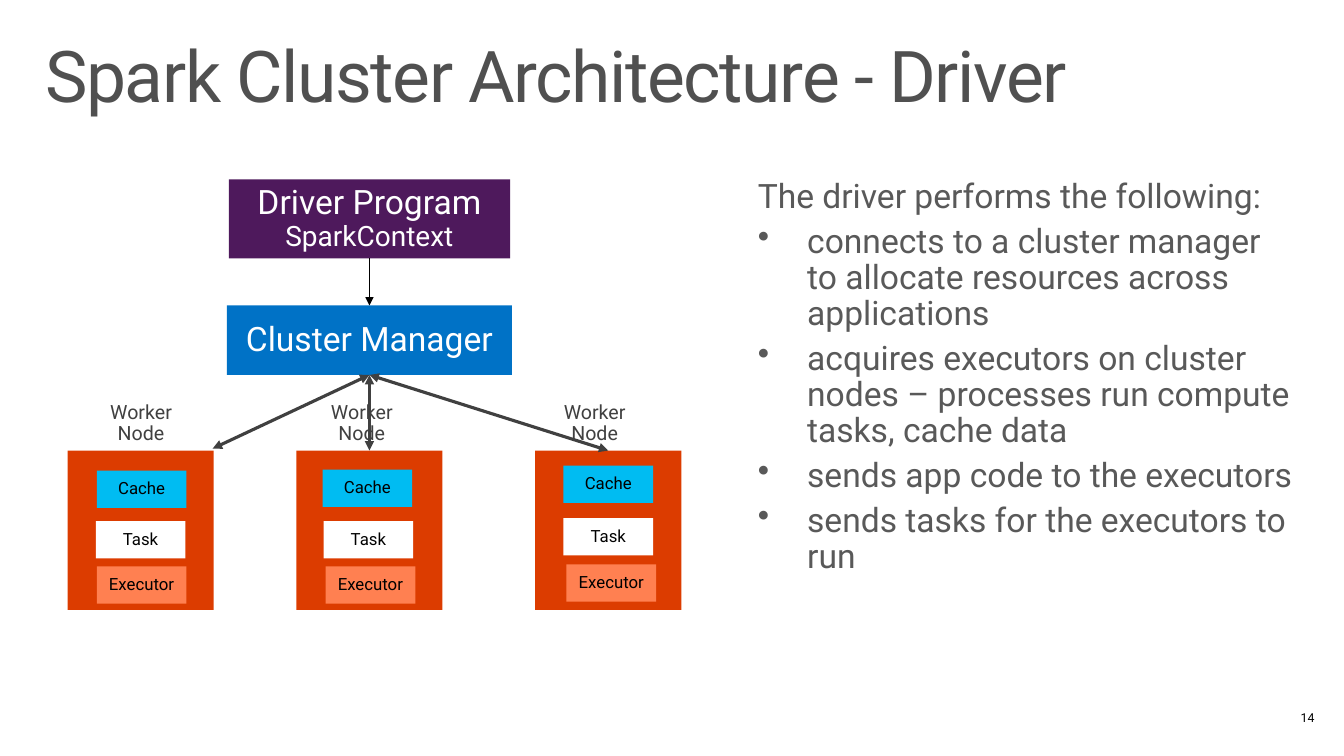
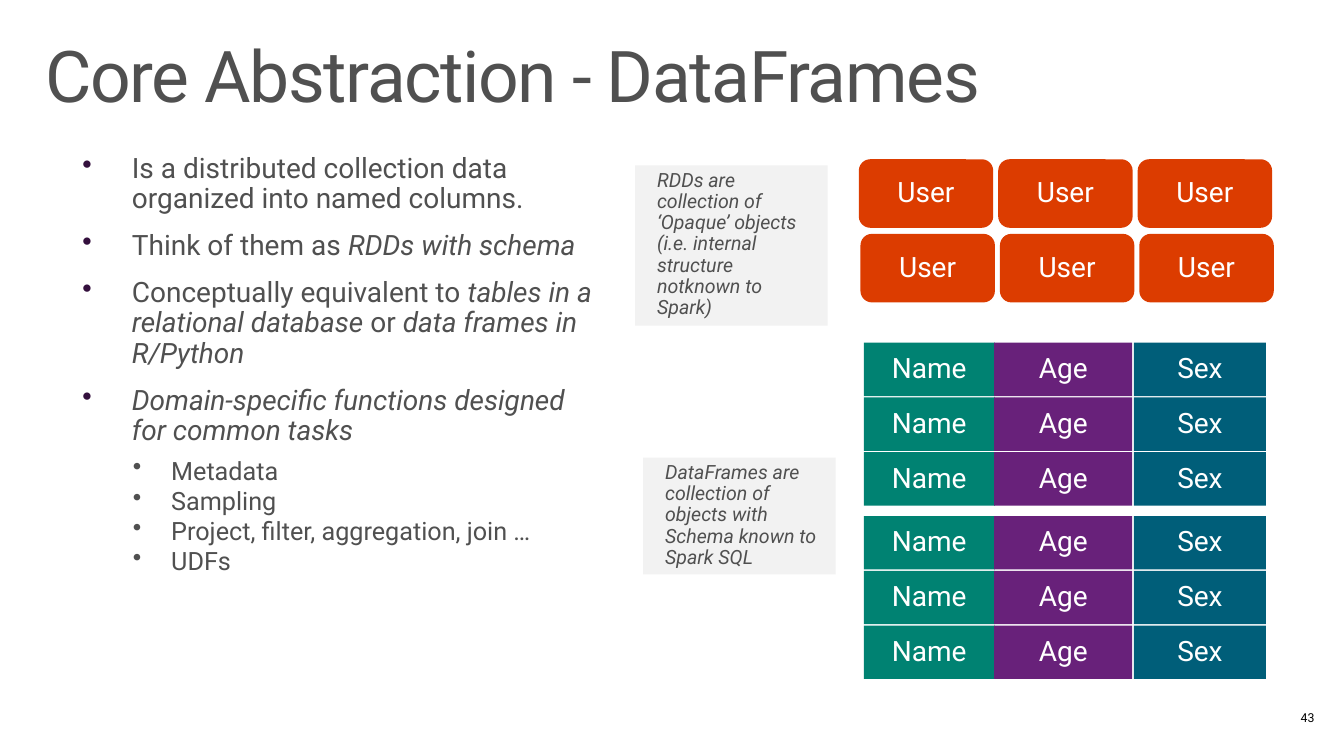
"""Build two slides on cluster architecture and DataFrames."""
from lxml.etree import SubElement
from pptx import Presentation
from pptx.dml.color import RGBColor
from pptx.enum.shapes import MSO_CONNECTOR, MSO_SHAPE
from pptx.enum.text import MSO_ANCHOR, PP_ALIGN
from pptx.oxml.ns import qn
from pptx.util import Emu, Inches, Pt

BLACK = RGBColor(0x00, 0x00, 0x00)
WHITE = RGBColor(0xFF, 0xFF, 0xFF)
DARK_GREY = RGBColor(0x40, 0x40, 0x40)
TITLE_GREY = RGBColor(0x50, 0x50, 0x50)
TEXT_GREY = RGBColor(0x59, 0x59, 0x59)
PALE_GREY = RGBColor(0xF2, 0xF2, 0xF2)
BLUE = RGBColor(0x00, 0x72, 0xC6)
SKY = RGBColor(0x00, 0xBC, 0xF2)
ORANGE = RGBColor(0xDC, 0x3C, 0x00)
PEACH = RGBColor(0xFF, 0x80, 0x51)
PLUM = RGBColor(0x4E, 0x19, 0x5C)
PURPLE = RGBColor(0x68, 0x21, 0x7A)
GREEN = RGBColor(0x00, 0x82, 0x72)
PETROL = RGBColor(0x00, 0x5E, 0x79)

presentation = Presentation()
presentation.slide_width = Emu(12192000)
presentation.slide_height = Emu(6858000)
COLUMN = presentation.slide_width / 40
ROW = presentation.slide_height / 22.5

TOP_LEFT = {"word_wrap": True, "vertical_anchor": MSO_ANCHOR.TOP}
TITLE_FRAME = TOP_LEFT | {"margin_left": Inches(0.16), "margin_right": Inches(0.16),
                          "margin_top": Inches(0.1), "margin_bottom": Inches(0.1)}
CENTRED = {"word_wrap": False, "vertical_anchor": MSO_ANCHOR.MIDDLE,
           "margin_left": 0, "margin_right": 0, "margin_top": 0, "margin_bottom": 0}
TIGHT = {"line_spacing": 0.9, "alignment": PP_ALIGN.LEFT}
MIDDLE = {"line_spacing": 0.9, "alignment": PP_ALIGN.CENTER}
SPACED_MIDDLE = MIDDLE | {"space_after": Pt(6)}
SPACED = TIGHT | {"space_after": Pt(6)}
ITALIC = {"italic": True}


def add_box(slide, place, paragraphs=(), size=12, colour=BLACK, fill=None,
            preset=MSO_SHAPE.RECTANGLE, frame_format=CENTRED):
    """Add a text box, or a filled shape, holding (runs, format) paragraphs."""
    units = (COLUMN, ROW, COLUMN, ROW)
    box = [Emu(int(length * unit)) for length, unit in zip(place, units)]
    if fill is None:
        shape = slide.shapes.add_textbox(*box)
    else:
        shape = slide.shapes.add_shape(preset, *box)
        shape.shadow.inherit = False
        shape.fill.solid()
        shape.fill.fore_color.rgb = fill
        shape.line.fill.background()
    frame = shape.text_frame
    for name, value in frame_format.items():
        setattr(frame, name, value)
    for index, (runs, paragraph_format) in enumerate(paragraphs):
        paragraph = frame.add_paragraph() if index else frame.paragraphs[0]
        properties = paragraph._p.get_or_add_pPr()
        for name, value in paragraph_format.items():
            if name in ("marL", "indent"):
                properties.set(name, str(int(value * COLUMN)))
            elif name == "bullet":
                if value is not None:
                    bullet_colour = SubElement(properties, qn("a:buClr"))
                    SubElement(bullet_colour, qn("a:srgbClr")).set("val", value)
                SubElement(properties, qn("a:buChar")).set("char", "•")
            elif name != "space_before" or index:
                setattr(paragraph, name, value)
        for text, font_format in runs:
            run = paragraph.add_run()
            run.text = text
            run.font.color.rgb = colour
            for name, value in ({"name": "Roboto", "size": Pt(size)} | font_format).items():
                setattr(run.font, name, value)
    return shape


def add_arrow(slide, begin, end, colour, width, ends):
    """Add an arrow whose ends are (shape, site) joints or (column, row) points."""
    connector = slide.shapes.add_connector(MSO_CONNECTOR.STRAIGHT, 0, 0, 0, 0)
    connector.begin_connect(*begin)
    if isinstance(end[1], int):
        connector.end_connect(*end)
    else:
        connector.end_x, connector.end_y = Emu(int(end[0] * COLUMN)), Emu(int(end[1] * ROW))
    connector.line.color.rgb = colour
    connector.line.width = Pt(width)
    for name in ends:
        SubElement(connector.line._get_or_add_ln(), qn(name)).set("type", "triangle")
    SubElement(connector._element.spPr, qn("a:effectLst"))


slides = []
for title, number in (("Spark Cluster Architecture - Driver", "14"),
                      ("Core Abstraction - DataFrames", "43")):
    slide = presentation.slides.add_slide(presentation.slide_layouts[6])
    heading = add_box(slide, (0.87, 0.93, 38.22, 3.03), [([(title, {})], TIGHT)],
                      51, TITLE_GREY, frame_format=TITLE_FRAME)
    heading.text_frame.paragraphs[0].runs[0].font._element.set("spc", "-100")
    add_box(slide, (37.29, 21.12, 1.83, 0.45),
            [([(number, {})], {"alignment": PP_ALIGN.RIGHT})], 8.8,
            frame_format=CENTRED | {"word_wrap": True})
    slides.append(slide)
driver_slide, frames_slide = slides

driver = add_box(driver_slide, (6.81, 5.34, 8.37, 2.35),
                 [([("Driver Program", {})], MIDDLE),
                  ([("SparkContext", {"size": Pt(20)})], SPACED_MIDDLE)],
                 24, WHITE, PLUM)
manager = add_box(driver_slide, (6.75, 9.09, 8.49, 2.07),
                  [([("Cluster Manager", {})], SPACED_MIDDLE)], 24, WHITE, BLUE)

workers = []
for left, label_left in ((2.01, 2.7), (8.82, 9.27), (15.93, 16.2)):
    workers.append(add_box(driver_slide, (left, 13.41, 4.35, 4.74), fill=ORANGE))
    add_box(driver_slide, (label_left, 12.09, 3, 1.05),
            [([("Worker Node", {})], SPACED_MIDDLE)], 14, DARK_GREY)

worker_parts = (
    ("Cache", SKY, ((2.88, 14.01), (9.6, 13.98), (16.77, 13.86))),
    ("Task", WHITE, ((2.85, 15.51), (9.63, 15.51), (16.77, 15.42))),
    ("Executor", PEACH, ((2.88, 16.86), (9.69, 16.86), (16.86, 16.8))),
)
for name, fill, corners in worker_parts:
    for corner in corners:
        add_box(driver_slide, (*corner, 2.67, 1.11),
                [([(name, {})], SPACED_MIDDLE)], fill=fill)

for end in ((6.33, 13.35), (workers[1], 0), (workers[2], 0)):
    add_arrow(driver_slide, (manager, 2), end, DARK_GREY, 2.25, ("a:headEnd", "a:tailEnd"))
add_arrow(driver_slide, (driver, 2), (manager, 0), BLACK, 0.75, ("a:tailEnd",))

driver_bullet = SPACED | {"marL": 1.65, "indent": -1.47, "bullet": None}
driver_tasks = (
    "connects to a cluster manager to allocate resources across applications",
    "acquires executors on cluster nodes – processes run compute tasks, cache data",
    "sends app code to the executors",
    "sends tasks for the executors to run",
)
add_box(driver_slide, (22.08, 5.19, 16.71, 12.48),
        [([("The driver performs the following:", {})], SPACED | {"marL": 0.18, "indent": 0})]
        + [([(task, {})], driver_bullet) for task in driver_tasks],
        24, TEXT_GREY, frame_format=TOP_LEFT)

main_bullet = SPACED | {"space_before": Pt(6), "marL": 1.83, "indent": -1.47,
                        "bullet": "34103D"}
sub_bullet = {"alignment": PP_ALIGN.LEFT, "marL": 3, "indent": -1.14, "bullet": None}
main_points = (
    [("Is a distributed collection data organized into named columns.", {})],
    [("Think of them as ", {}), ("RDDs with schema", ITALIC)],
    [("Conceptually equivalent to ", {}), ("tables in a relational database ", ITALIC),
     ("or ", {}), ("data frames in R/Python", ITALIC)],
    [("Domain-specific functions designed for common tasks", ITALIC)],
)
sub_points = ("Metadata", "Sampling", "Project, filter, aggregation, join …", "UDFs")
add_box(frames_slide, (1.8, 4.44, 16.23, 12.99),
        [(runs, main_bullet) for runs in main_points]
        + [([(point, {"size": Pt(18)})], sub_bullet) for point in sub_points],
        20, TITLE_GREY, WHITE, frame_format=TOP_LEFT)

for row in range(2):
    for column in range(3):
        add_box(frames_slide, (25.56 + 4.15 * column + 0.05 * row, 4.74 + 2.22 * row, 4, 2.04),
                [([("User", {})], MIDDLE)], 20, WHITE, ORANGE, MSO_SHAPE.ROUNDED_RECTANGLE)

fields = (("Name", GREEN, 25.71, 3.9), ("Age", PURPLE, 29.59, 4.11), ("Sex", PETROL, 33.75, 3.93))
for block_top in (10.2, 15.36):
    for row in range(3):
        for name, fill, left, width in fields:
            add_box(frames_slide, (left, block_top + 1.63 * row, width, 1.59),
                    [([(name, {})], MIDDLE)], 20, WHITE, fill)

notes = (
    ((18.9, 4.92, 5.73, 4.77), "RDDs are collection of ‘Opaque’ objects "
                               "(i.e. internal structure notknown to Spark)"),
    ((19.14, 13.62, 5.73, 3.48), "DataFrames are collection of objects with "
                                 "Schema known to Spark SQL"),
)
for place, text in notes:
    add_box(frames_slide, place, [([(text, ITALIC)], SPACED | {"marL": 0.36, "indent": 0})],
            14, TITLE_GREY, PALE_GREY, frame_format=TOP_LEFT)

presentation.save("out.pptx")
